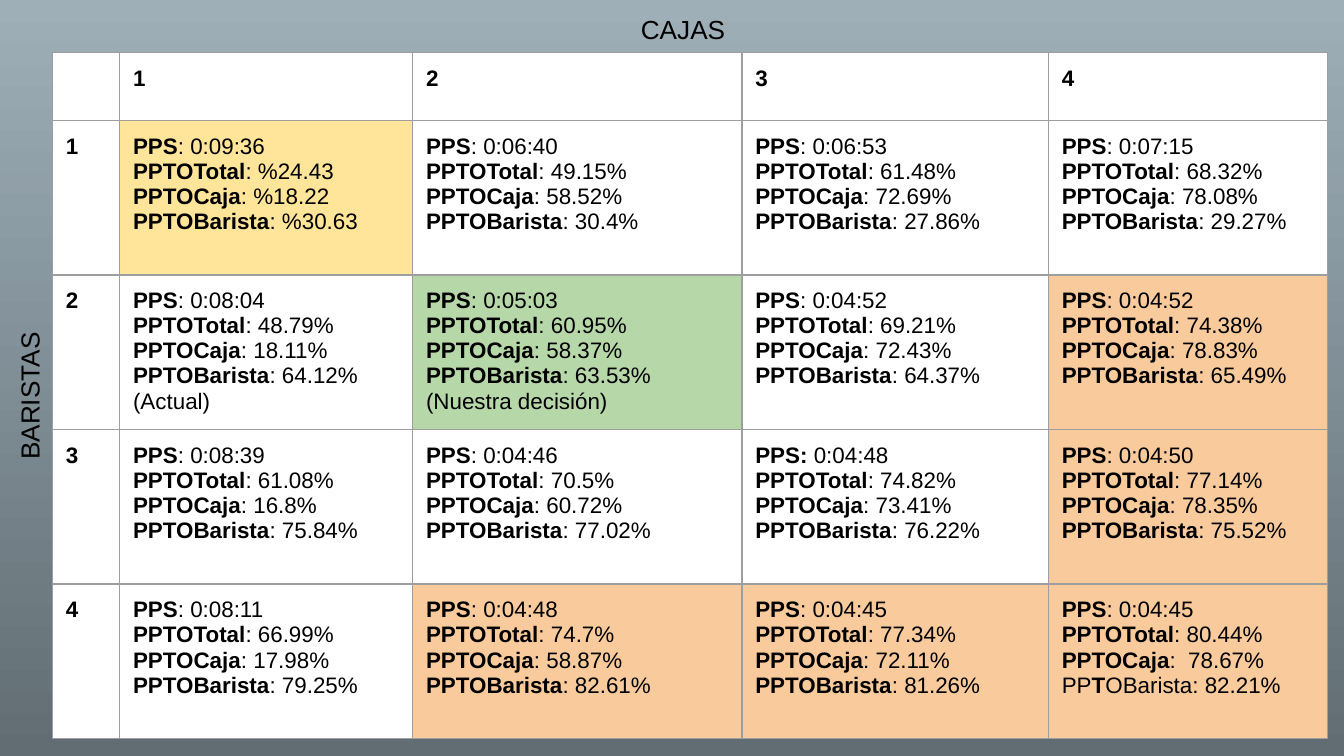
from lxml import etree
from pptx import Presentation
from pptx.dml.color import RGBColor
from pptx.oxml.ns import qn
from pptx.util import Pt

PX = 4572  # 200 px to the inch
INSET = 20 * PX
FONT = "Arial"
WHITE, YELLOW, GREEN, ORANGE = "FFFFFF", "FFE599", "B6D7A8", "F9CB9C"
color = RGBColor.from_string


def write_text(frame, lines, size=12, text_color="000000"):
    """Write one paragraph per line; text between asterisks is bold."""
    for index, line in enumerate(lines):
        paragraph = frame.paragraphs[0] if index == 0 else frame.add_paragraph()
        for part, text in enumerate(line.split("*")):
            if text:
                run = paragraph.add_run()
                run.text = text
                run.font.name = FONT
                run.font.size = Pt(size)
                run.font.bold = part % 2 == 1
                run.font.color.rgb = color(text_color)


def add_borders(cell, line_color="9E9E9E", width=0.75):
    properties = cell._tc.get_or_add_tcPr()
    for side in ("a:lnL", "a:lnR", "a:lnT", "a:lnB"):
        line = etree.SubElement(properties, qn(side), w=str(Pt(width)))
        fill = etree.SubElement(line, qn("a:solidFill"))
        etree.SubElement(fill, qn("a:srgbClr"), val=line_color)


presentation = Presentation()
presentation.slide_width = 2000 * PX
presentation.slide_height = 1125 * PX
slide = presentation.slides.add_slide(presentation.slide_layouts[6])

background = slide.background.fill
background.gradient()
background.gradient_angle = 270
for stop, position, stop_color in zip(background.gradient_stops, (0, 1), ("9EAFB8", "616D73")):
    stop.position = position
    stop.color.rgb = color(stop_color)

# Rows are baristas, columns are cajas
LABELS = ("PPS", "PPTOTotal", "PPTOCaja", "PPTOBarista")
RESULTS = [
    [("0:09:36", "%24.43", "%18.22", "%30.63"),
     ("0:06:40", "49.15%", "58.52%", "30.4%"),
     ("0:06:53", "61.48%", "72.69%", "27.86%"),
     ("0:07:15", "68.32%", "78.08%", "29.27%")],
    [("0:08:04", "48.79%", "18.11%", "64.12%"),
     ("0:05:03", "60.95%", "58.37%", "63.53%"),
     ("0:04:52", "69.21%", "72.43%", "64.37%"),
     ("0:04:52", "74.38%", "78.83%", "65.49%")],
    [("0:08:39", "61.08%", "16.8%", "75.84%"),
     ("0:04:46", "70.5%", "60.72%", "77.02%"),
     ("0:04:48", "74.82%", "73.41%", "76.22%"),
     ("0:04:50", "77.14%", "78.35%", "75.52%")],
    [("0:08:11", "66.99%", "17.98%", "79.25%"),
     ("0:04:48", "74.7%", "58.87%", "82.61%"),
     ("0:04:45", "77.34%", "72.11%", "81.26%"),
     ("0:04:45", "80.44%", " 78.67%", "82.21%")],
]
NOTES = {(2, 1): "(Actual)", (2, 2): "(Nuestra decisión)"}
FILLS = {(1, 1): YELLOW, (2, 2): GREEN, (2, 4): ORANGE, (3, 4): ORANGE,
         (4, 2): ORANGE, (4, 3): ORANGE, (4, 4): ORANGE}
# Lines whose bold part differs from the rule: (row, column) -> (line, text)
EXCEPTIONS = {(3, 3): (0, "*PPS:* 0:04:48"), (4, 4): (3, "PP*T*OBarista: 82.21%")}

COLUMN_WIDTHS = (100, 436, 490, 456, 416)
ROW_HEIGHTS = (100, 230, 230, 230, 230)
table = slide.shapes.add_table(
    len(ROW_HEIGHTS), len(COLUMN_WIDTHS), 78 * PX, 78 * PX,
    sum(COLUMN_WIDTHS) * PX, sum(ROW_HEIGHTS) * PX).table
table.first_row = table.horz_banding = False
for column, width in zip(table.columns, COLUMN_WIDTHS):
    column.width = width * PX

for row, height in enumerate(ROW_HEIGHTS):
    table.rows[row].height = height * PX
    for column in range(len(COLUMN_WIDTHS)):
        cell = table.cell(row, column)
        cell.margin_left = cell.margin_right = INSET
        cell.margin_top = cell.margin_bottom = INSET
        add_borders(cell)
        cell.fill.solid()
        cell.fill.fore_color.rgb = color(FILLS.get((row, column), WHITE))
        if row and column:
            values = RESULTS[row - 1][column - 1]
            lines = [f"*{label}*: {value}" for label, value in zip(LABELS, values)]
            if (row, column) in EXCEPTIONS:
                line, text = EXCEPTIONS[row, column]
                lines[line] = text
            if (row, column) in NOTES:
                lines.append(NOTES[row, column])
            write_text(cell.text_frame, lines)
        elif row or column:
            write_text(cell.text_frame, [f"*{row or column}*"])

# Axis titles
for title, left, top, width, rotation in (
        ("CAJAS", 934, 0, 186, 0),
        ("BARISTAS", -72, 544, 232, 270)):
    box = slide.shapes.add_textbox(left * PX, top * PX, width * PX, 88 * PX)
    box.rotation = rotation
    frame = box.text_frame
    frame.word_wrap = True
    frame.margin_left = frame.margin_right = INSET
    frame.margin_top = frame.margin_bottom = INSET
    write_text(frame, [title], size=14)

presentation.save("out.pptx")
